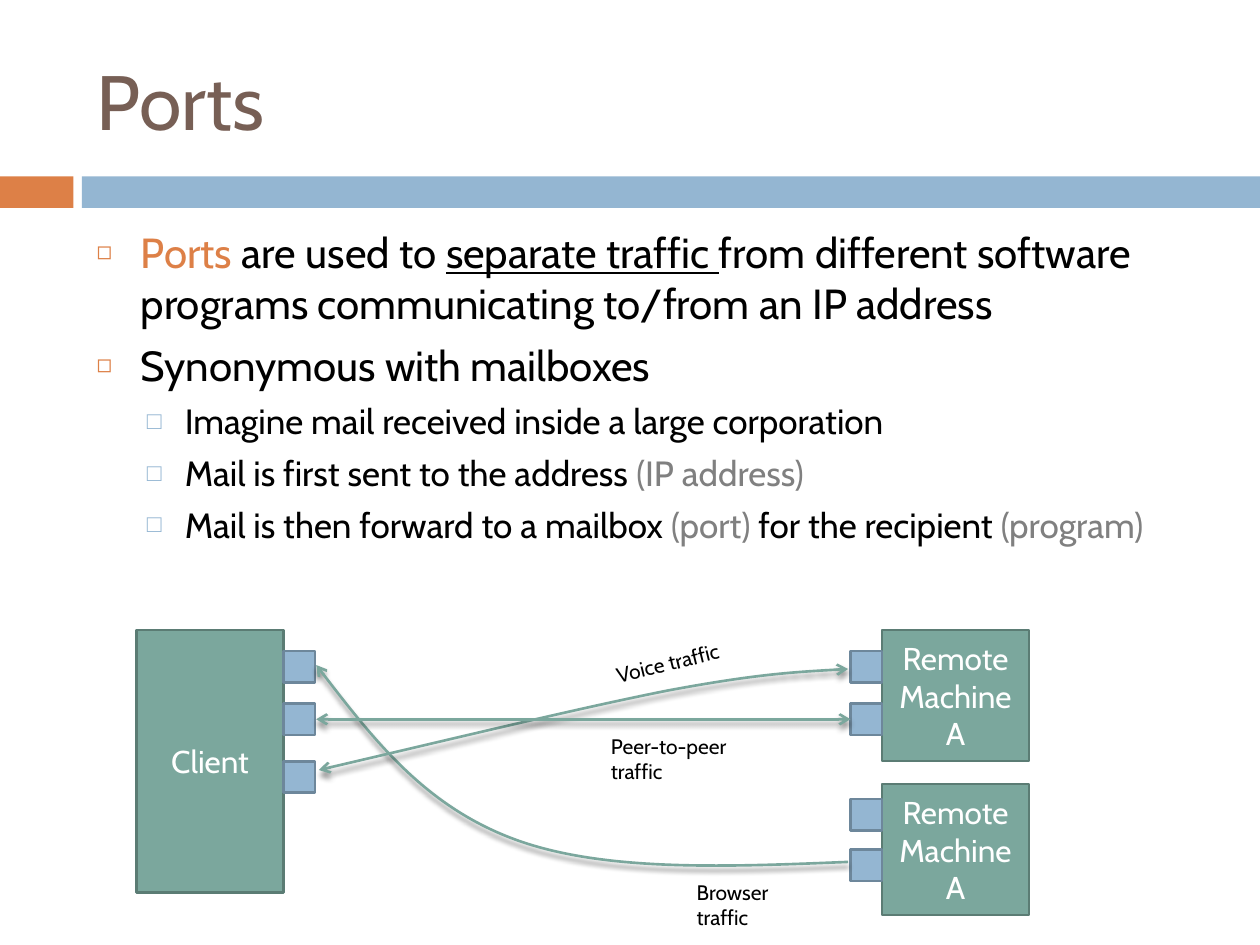
"""Build a slide that explains network ports with a client and two remote machines."""
import pptx
import pptx.dml.color
import pptx.enum.shapes
import pptx.enum.text
import pptx.oxml
import pptx.oxml.ns
import pptx.util

Pt = pptx.util.Pt
COLORS = {
    "orange": "DD8047", "blue": "94B6D2", "blue edge": "6D879B",
    "green": "7BA79D", "green edge": "5B7C74", "brown": "775F55",
    "black": "000000", "gray": "808080", "white": "FFFFFF",
}
NAMESPACE = pptx.oxml.ns.nsdecls("a")
RECTANGLE = pptx.enum.shapes.MSO_SHAPE.RECTANGLE


def add_text(para, text, size=12, color="black", underline=None, align=None):
    """Add one formatted span to a paragraph."""
    span = para.add_run()
    span.text = text
    span.font.name = "Cabin"
    span.font.size = Pt(size)
    span.font.underline = underline
    span.font.color.rgb = pptx.dml.color.RGBColor.from_string(COLORS[color])
    if align is not None:
        para.alignment = align


def style_arrow(shape, ends):
    """Give a line its colour, arrowheads and soft shadow."""
    shape.line.color.rgb = pptx.dml.color.RGBColor.from_string(COLORS["green"])
    shape.line.width = Pt(1.5)
    outline = shape.line._get_or_add_ln()
    for end in ends:
        outline.append(pptx.oxml.parse_xml(f'<a:{end} {NAMESPACE} type="arrow"/>'))
    shape._element.spPr.append(pptx.oxml.parse_xml(
        f'<a:effectLst {NAMESPACE}><a:outerShdw blurRad="{Pt(3)}" dist="{Pt(2.4)}" '
        f'dir="5400000" rotWithShape="0"><a:srgbClr val="{COLORS["black"]}">'
        '<a:alpha val="45000"/></a:srgbClr></a:outerShdw></a:effectLst>'))


deck = pptx.Presentation()
deck.slide_width, deck.slide_height = Pt(720), Pt(540)
page = deck.slides.add_slide(deck.slide_layouts[1])
title, body = page.placeholders

for box, top, height, anchor in [
    (title, 18, 78, pptx.enum.text.MSO_ANCHOR.MIDDLE),
    (body, 126, 354, pptx.enum.text.MSO_ANCHOR.TOP),
]:
    box.left, box.top, box.width, box.height = Pt(48), Pt(top), Pt(642), Pt(height)
    box.text_frame.auto_size = pptx.enum.text.MSO_AUTO_SIZE.NONE
    box.text_frame.vertical_anchor = anchor

add_text(title.text_frame.paragraphs[0], "Ports", size=44, color="brown",
         align=pptx.enum.text.PP_ALIGN.LEFT)

LEVELS = [
    {"size": 24, "left": 25.2, "hang": 25.2, "before": 7,
     "bullet": "◻", "color": "orange", "percent": 60},
    {"size": 20, "left": 50.4, "hang": 21.6, "before": 5.5,
     "bullet": "□", "color": "blue", "percent": 70},
]
POINTS = [
    (0, [("Ports", {"color": "orange"}), (" are used to ", {}),
         ("separate traffic ", {"underline": True}),
         ("from different software programs communicating to/from an IP address", {})]),
    (0, [("Synonymous with mailboxes", {})]),
    (1, [("Imagine mail received inside a large corporation", {})]),
    (1, [("Mail is first sent to the address ", {}), ("(IP address)", {"color": "gray"})]),
    (1, [("Mail is then forward to a mailbox ", {}), ("(port) ", {"color": "gray"}),
         ("for the recipient ", {}), ("(program)", {"color": "gray"})]),
]
for index, (depth, spans) in enumerate(POINTS):
    level = LEVELS[depth]
    para = body.text_frame.add_paragraph() if index else body.text_frame.paragraphs[0]
    para.level = depth
    properties = para._p.get_or_add_pPr()
    properties.set("marL", str(Pt(level["left"])))
    properties.set("indent", str(-Pt(level["hang"])))
    for bullet in [
        f'<a:buClr {NAMESPACE}><a:srgbClr val="{COLORS[level["color"]]}"/></a:buClr>',
        f'<a:buSzPct {NAMESPACE} val="{level["percent"] * 1000}"/>',
        f'<a:buChar {NAMESPACE} char="{level["bullet"]}"/>',
    ]:
        properties.append(pptx.oxml.parse_xml(bullet))
    para.space_before = Pt(level["before"] if index else 0)
    for text, style in spans:
        add_text(para, text, size=level["size"], **style)

BARS = [(0, 100.8, 42, 18, "orange", []), (46.8, 100.8, 673.2, 18, "blue", [])]
MACHINES = [(78, 360, 84, 150, "green", ["Client"])]
MACHINES += [(504, top, 84, 75, "green", ["Remote", "Machine A"]) for top in (360, 448)]
PORTS = [(left, top, 18, 18, "blue", [])
         for left, tops in [(162, (372, 402, 435)), (486, (372, 402, 456.5, 485.5))]
         for top in tops]
for left, top, width, height, color, lines in BARS + MACHINES + PORTS:
    box = page.shapes.add_shape(RECTANGLE, Pt(left), Pt(top), Pt(width), Pt(height))
    box.shadow.inherit = False
    box.fill.solid()
    box.fill.fore_color.rgb = pptx.dml.color.RGBColor.from_string(COLORS[color])
    if top < 120:
        box.line.fill.background()
    else:
        box.line.color.rgb = pptx.dml.color.RGBColor.from_string(COLORS[color + " edge"])
        box.line.width = Pt(1.5)
    for index, text in enumerate(lines):
        frame = box.text_frame
        para = frame.add_paragraph() if index else frame.paragraphs[0]
        add_text(para, text, size=18, color="white", align=pptx.enum.text.PP_ALIGN.CENTER)

CURVES = [
    (["headEnd"], [(180.7, 380), (211.7, 420.5), (243.4, 460.8), (293.8, 479.5),
                   (344.2, 498.2), (414, 495.4), (484.6, 492.5)]),
    (["headEnd", "tailEnd"], [(182.2, 440), (257, 422.6), (331.2, 404.6), (381.6, 394.6),
                              (432, 385.2), (458.6, 383.8), (484.6, 382.3)]),
]
for ends, points in CURVES:
    points = [(Pt(x), Pt(y)) for x, y in points]
    builder = page.shapes.build_freeform(*points[0])
    builder.add_line_segments(points[3::3], close=False)
    curve = builder.convert_to_shape()
    curve.fill.background()
    outline = curve._element.spPr.find(".//" + pptx.oxml.ns.qn("a:path"))
    for segment in outline.findall(pptx.oxml.ns.qn("a:lnTo")):
        outline.remove(segment)
    for start in (1, 4):
        stops = "".join(f'<a:pt x="{x - curve.left}" y="{y - curve.top}"/>'
                        for x, y in points[start:start + 3])
        outline.append(pptx.oxml.parse_xml(
            f"<a:cubicBezTo {NAMESPACE}>{stops}</a:cubicBezTo>"))
    style_arrow(curve, ends)

link = page.shapes.add_connector(
    pptx.enum.shapes.MSO_CONNECTOR.STRAIGHT, Pt(486), Pt(411), Pt(180.7), Pt(411))
style_arrow(link, ["headEnd", "tailEnd"])

for text, left, top, width, rotation in [
    ("Voice traffic", 344.5, 368, 74, -13.7),
    ("Browser traffic", 391, 499, 85, 0),
    ("Peer-to-peer traffic", 342, 415.5, 108.7, 0),
]:
    box = page.shapes.add_textbox(Pt(left), Pt(top), Pt(width), Pt(21.6))
    box.rotation = rotation
    box.text_frame.word_wrap = True
    box.text_frame.auto_size = pptx.enum.text.MSO_AUTO_SIZE.SHAPE_TO_FIT_TEXT
    add_text(box.text_frame.paragraphs[0], text)

deck.save("out.pptx")
